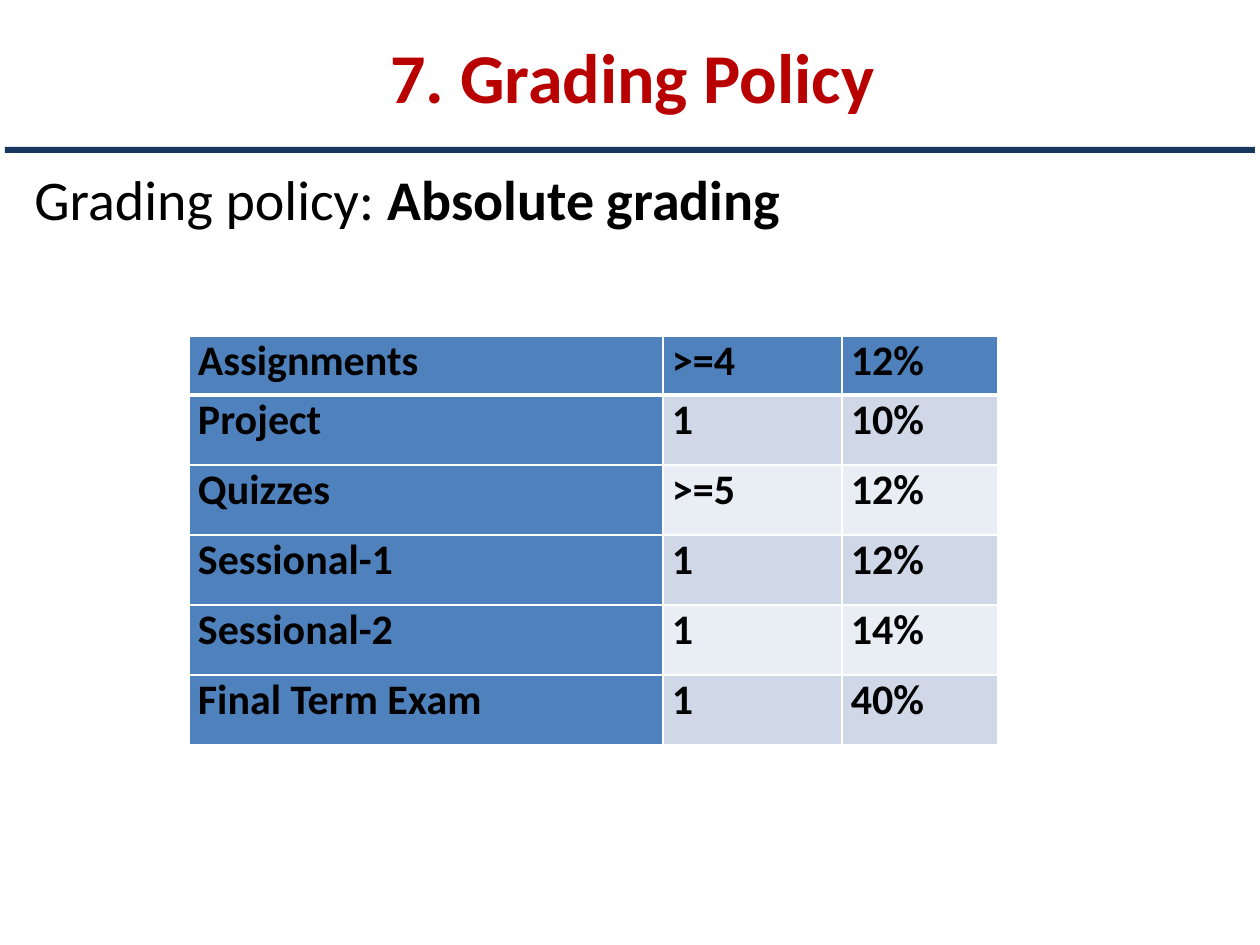
"""Builds the grading policy slide."""
from dataclasses import dataclass

from lxml import etree
from pptx import Presentation
from pptx import util as u
from pptx.dml.color import RGBColor
from pptx.enum import shapes, text
from pptx.oxml.ns import qn

SCALE = 914400 / 126


@dataclass(frozen=True)
class Theme:
    """Colours, font and type sizes of the slide."""
    font: str = "Calibri"
    title: str = "B80000"
    ink: str = "000000"
    rule: str = "17375E"
    head: str = "4F81BD"
    bands: tuple = ("D0D8E8", "E9EDF4")
    border: str = "FFFFFF"
    title_size: int = 40
    body_size: int = 32
    table_size: int = 24


THEME = Theme()
GRADES = [
    ("Assignments", ">=4", "12%"),
    ("Project", "1", "10%"),
    ("Quizzes", ">=5", "12%"),
    ("Sessional-1", "1", "12%"),
    ("Sessional-2", "1", "14%"),
    ("Final Term Exam", "1", "40%"),
]


def px(n):
    """Turn pixels into EMU."""
    return u.Emu(round(n * SCALE))


def add_run(p, content, size, color, bold=False):
    """Add one styled run to a paragraph."""
    r = p.add_run()
    r.text = content
    r.font.name = THEME.font
    r.font.size = u.Pt(size)
    r.font.bold = bold
    r.font.color.rgb = RGBColor.from_string(color)


def add_text(s, box, runs, size, color, align, anchor):
    """Add a wrapped text box of (text, bold) runs."""
    tf = s.shapes.add_textbox(*map(px, box)).text_frame
    tf.word_wrap = True
    tf.vertical_anchor = anchor
    p = tf.paragraphs[0]
    p.alignment = align
    for content, bold in runs:
        add_run(p, content, size, color, bold)


def add_rule(s, box):
    """Add the flat bar under the title."""
    sp = s.shapes.add_shape(shapes.MSO_SHAPE.RECTANGLE, *map(px, box))
    sp.shadow.inherit = False
    sp.fill.solid()
    sp.fill.fore_color.rgb = RGBColor.from_string(THEME.rule)
    sp.line.fill.background()


def set_borders(cell, widths):
    """Draw cell borders from a mapping of side to points."""
    tc_pr = cell._tc.get_or_add_tcPr()
    for i, (side, width) in enumerate(widths.items()):
        ln = etree.Element(qn(f"a:ln{side}"), w=str(u.Pt(width)))
        fill = etree.SubElement(ln, qn("a:solidFill"))
        etree.SubElement(fill, qn("a:srgbClr"), val=THEME.border)
        tc_pr.insert(i, ln)


def fill_cell(cell, content, color, widths):
    """Write and style one table cell."""
    cell.margin_left = cell.margin_right = px(9)
    cell.margin_top = cell.margin_bottom = 0
    cell.fill.solid()
    cell.fill.fore_color.rgb = RGBColor.from_string(color)
    set_borders(cell, widths)
    p = cell.text_frame.paragraphs[0]
    p.space_before = p.space_after = u.Pt(2)
    add_run(p, content, THEME.table_size, THEME.ink, True)


def add_grades(s, left, top, cols, rows):
    """Add the table of assessments and weights."""
    box = (left, top, sum(cols), sum(rows))
    table = s.shapes.add_table(len(rows), len(cols), *map(px, box)).table
    for column, width in zip(table.columns, cols):
        column.width = px(width)
    for row, height in zip(table.rows, rows):
        row.height = px(height)
    for i, record in enumerate(GRADES):
        widths = {"L": 1, "R": 1, "T": 3 if i == 1 else 1, "B": 3 if i == 0 else 1}
        for j, content in enumerate(record):
            color = THEME.bands[(i - 1) % 2] if i and j else THEME.head
            fill_cell(table.cell(i, j), content, color, widths)


def main():
    """Build and save the slide."""
    prs = Presentation()
    prs.slide_width, prs.slide_height = px(1260), px(945)
    s = prs.slides.add_slide(prs.slide_layouts[6])
    add_text(s, (5, 8, 1255, 136), [("7. Grading Policy", True)],
             THEME.title_size, THEME.title,
             text.PP_ALIGN.CENTER, text.MSO_ANCHOR.MIDDLE)
    add_text(s, (22, 158, 1238, 782),
             [("Grading policy: ", False), ("Absolute grading", True)],
             THEME.body_size, THEME.ink,
             text.PP_ALIGN.LEFT, text.MSO_ANCHOR.TOP)
    add_rule(s, (5, 147, 1250, 6))
    add_grades(s, 189, 336, (474, 179, 156), (59,) + (70,) * 5)
    prs.save("out.pptx")


if __name__ == "__main__":
    main()
